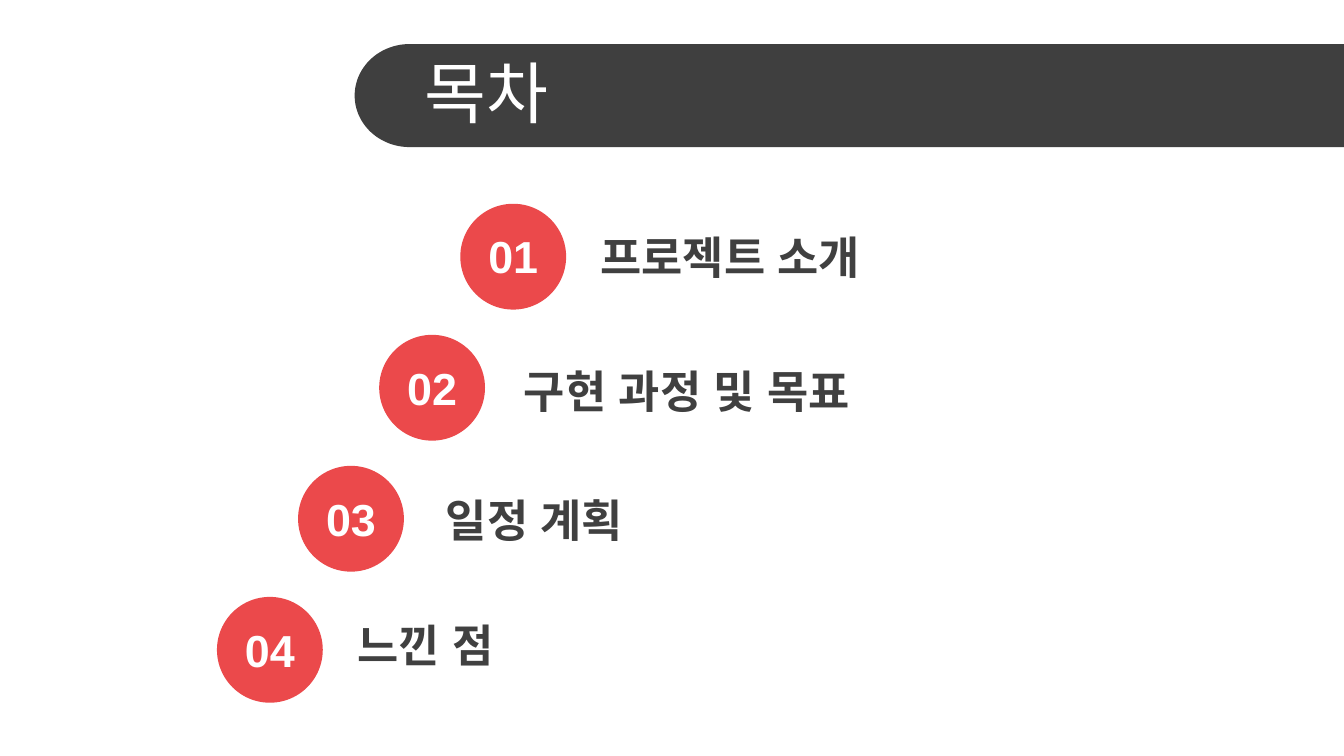
import math

import lxml.etree
import pptx
import pptx.dml.color
import pptx.enum.shapes
import pptx.enum.text
import pptx.oxml.ns
import pptx.util

Pt = pptx.util.Pt
ALIGN = pptx.enum.text.PP_ALIGN

# Content: number, heading, left and top of the heading
TITLE = "목차"
CHAPTERS = [
    ("01", "프로젝트 소개", 314.6, 119.5),
    ("02", "구현 과정 및 목표", 273.6, 191.5),
    ("03", "일정 계획", 231.8, 260.6),
    ("04", "느낀 점", 184.3, 327.6),
]

# Format and layout, in points
FONT = "Arial"
DARK, RED, GREY, WHITE = "3F3F3F", "EB494B", "404040", "FFFFFF"
SLIDE_W, SLIDE_H = 720, 405
BAR_LEFT, BAR_TOP, BAR_H, BAR_CAP = 190, 23.6, 55.2, 29.4
BADGE_LEFT, BADGE_TOP, BADGE_SIZE = 246.6, 109.2, 56.7
STEP_LEFT, STEP_DOWN = 43.45, 70.2
LINE_H, HEADING_W = 36, 363
BADGE_PAD = 10

deck = pptx.Presentation()
deck.slide_width, deck.slide_height = Pt(SLIDE_W), Pt(SLIDE_H)
slide = deck.slides.add_slide(deck.slide_layouts[6])


def color(value):
    return pptx.dml.color.RGBColor.from_string(value)


def paint(shape, fill):
    shape.fill.solid()
    shape.fill.fore_color.rgb = color(fill)
    shape.line.fill.background()
    shape.shadow.inherit = False


def add_text(text, left, top, width, height, ink, size=24, bold=True,
             align=ALIGN.LEFT, grow=True):
    box = slide.shapes.add_textbox(Pt(left), Pt(top), Pt(width), Pt(height))
    frame = box.text_frame
    sizing = pptx.enum.text.MSO_AUTO_SIZE
    frame_format = {
        "word_wrap": True,
        "vertical_anchor": pptx.enum.text.MSO_ANCHOR.MIDDLE,
        "auto_size": sizing.SHAPE_TO_FIT_TEXT if grow else sizing.NONE,
    }
    for key, value in frame_format.items():
        setattr(frame, key, value)
    paragraph = frame.paragraphs[0]
    paragraph.alignment = align
    run = paragraph.add_run()
    run.text = text
    for key, value in {"name": FONT, "size": Pt(size), "bold": bold}.items():
        setattr(run.font, key, value)
    run.font.color.rgb = color(ink)
    # The Korean letters use the same font
    east_asian = lxml.etree.SubElement(run.font._element, pptx.oxml.ns.qn("a:ea"))
    east_asian.set("typeface", FONT)


# Title bar: round on the left, running off to the right edge
middle = BAR_TOP + BAR_H / 2
cap = [
    (BAR_LEFT + BAR_CAP * (1 - math.sin(math.radians(angle))),
     middle + BAR_H / 2 * math.cos(math.radians(angle)))
    for angle in range(0, 181, 3)
]
outline = [(SLIDE_W, BAR_TOP), (SLIDE_W, BAR_TOP + BAR_H)] + cap
corners = [(Pt(x), Pt(y)) for x, y in outline]
builder = slide.shapes.build_freeform(*corners[0], scale=1.0)
builder.add_line_segments(corners[1:], close=True)
paint(builder.convert_to_shape(), DARK)
add_text(TITLE, 220.3, 26.6, SLIDE_W - 220.3, 45.4, WHITE,
         size=36, bold=False, grow=False)

# Chapters: badges stepping down to the left, each with its heading
for row, (number, heading, heading_left, heading_top) in enumerate(CHAPTERS):
    left = BADGE_LEFT - row * STEP_LEFT
    top = BADGE_TOP + row * STEP_DOWN
    badge = slide.shapes.add_shape(
        pptx.enum.shapes.MSO_SHAPE.OVAL,
        Pt(left), Pt(top), Pt(BADGE_SIZE), Pt(BADGE_SIZE))
    paint(badge, RED)
    add_text(heading, heading_left, heading_top, HEADING_W, LINE_H, GREY)
    add_text(number, left, top + BADGE_PAD, BADGE_SIZE, LINE_H, WHITE,
             align=ALIGN.CENTER)

deck.save("out.pptx")
